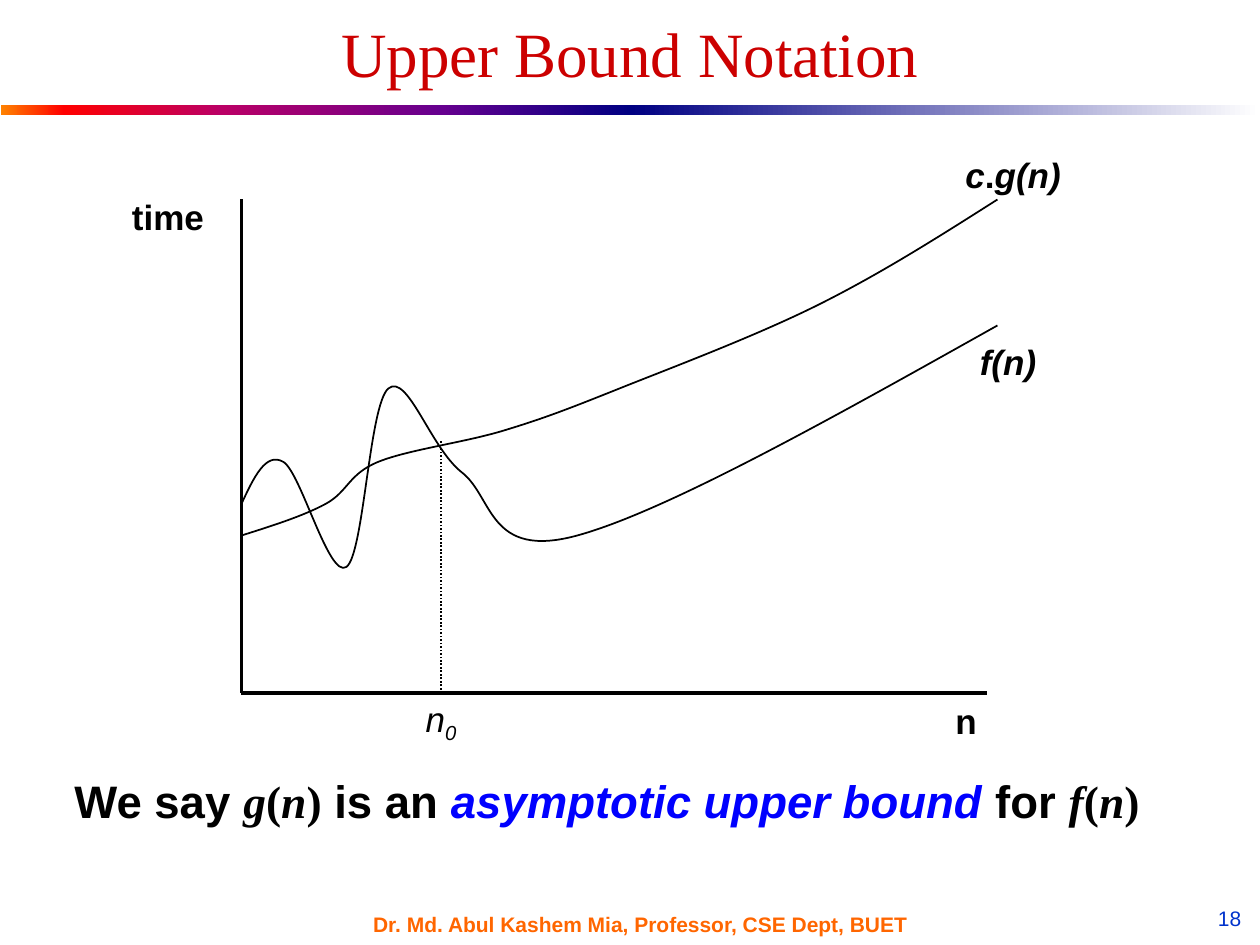
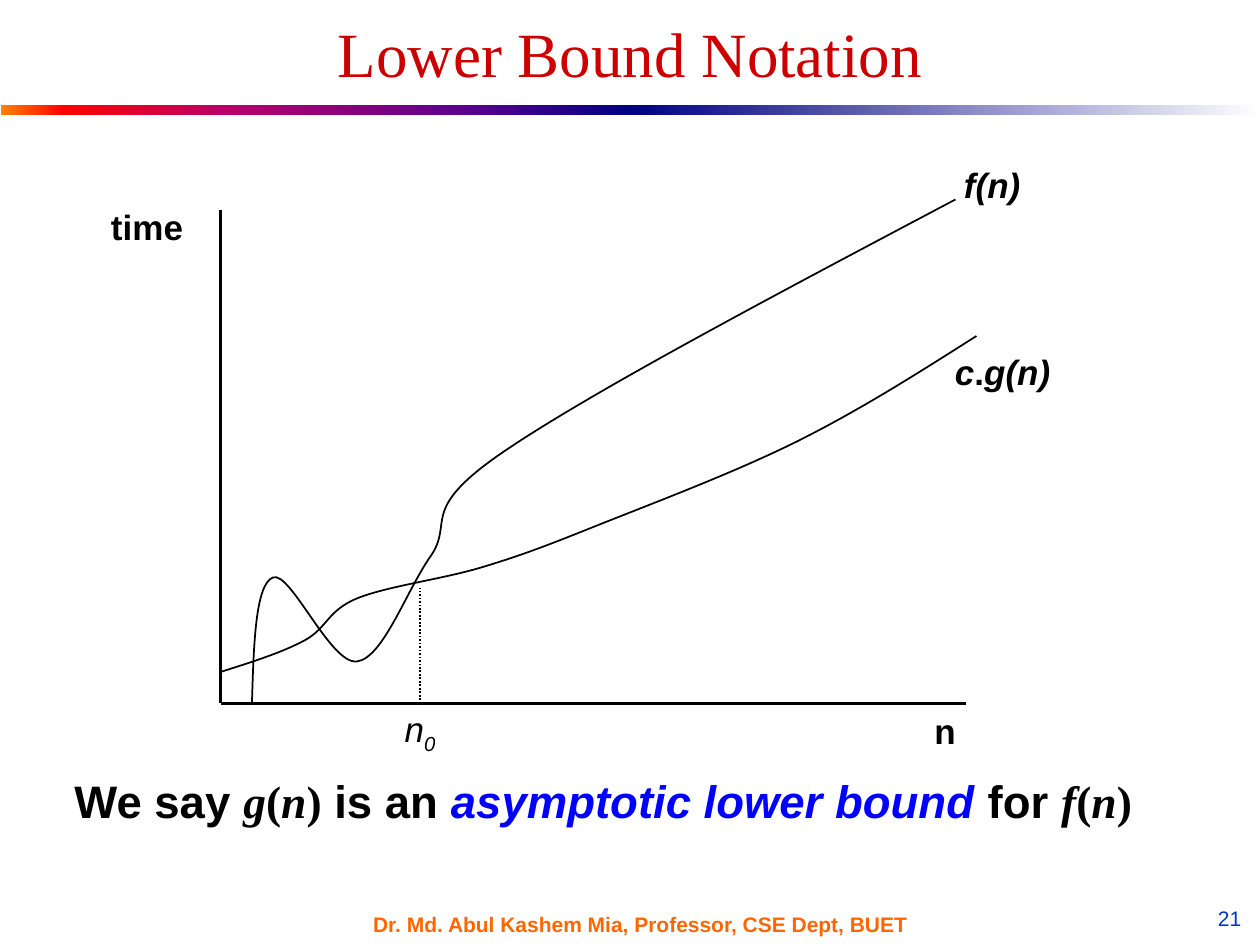
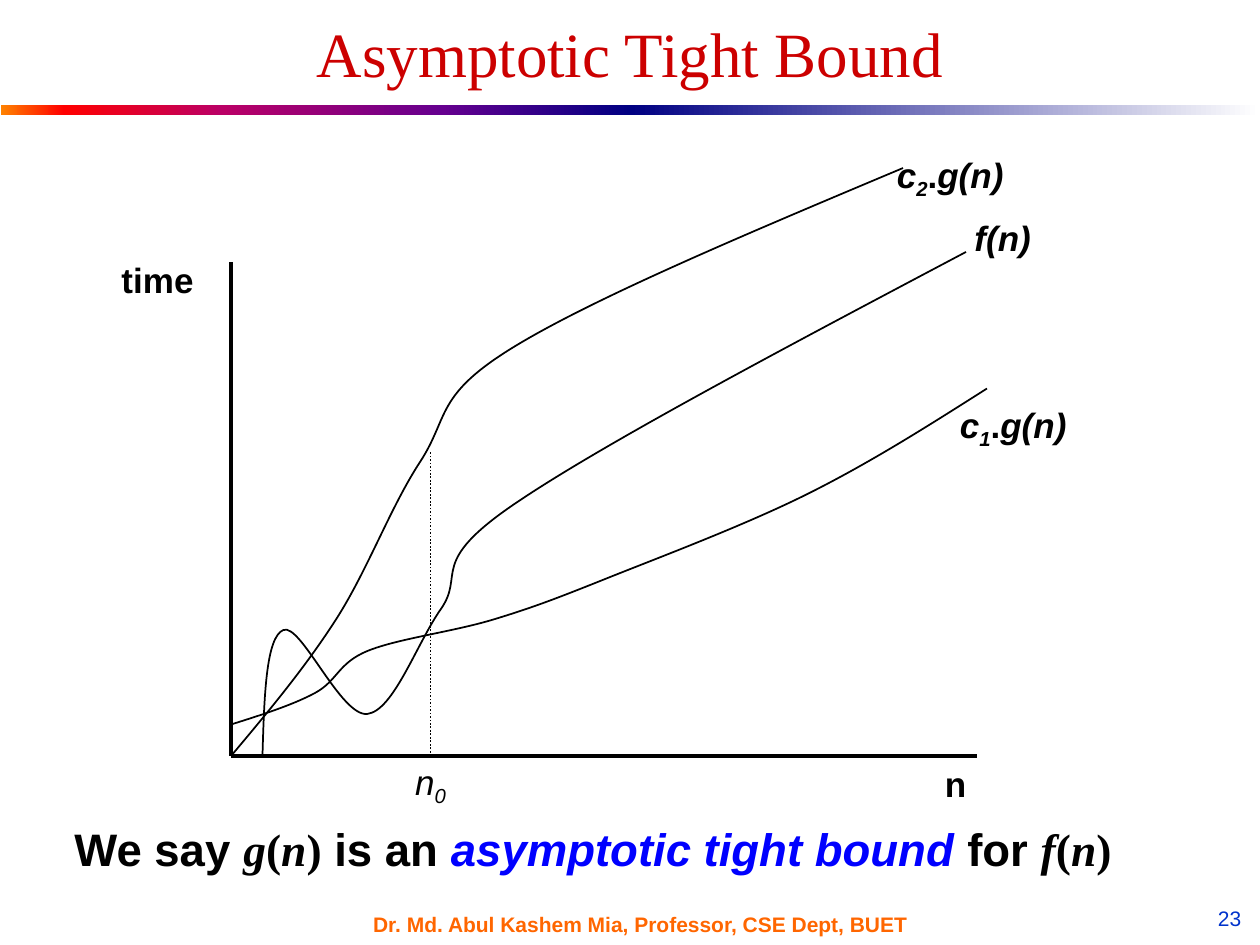
from lxml import etree
from pptx import Presentation
from pptx.dml.color import RGBColor
from pptx.enum import dml, shapes, text
from pptx.oxml.ns import qn
from pptx.util import Inches, Pt

# Grid: 120 columns by 90 rows, 12 to the inch
CELL = Inches(1) // 12
COLUMNS, ROWS = 120, 90
AXIS_WIDTH, AXIS_HEIGHT = 71, 47
BLACK, RED, BLUE, ORANGE, NAVY = "000000", "CC0000", "0000FF", "FF6600", "0033CC"
SANS, SERIF = "Arial", "Times New Roman"
FOOTER = "Dr. Md. Abul Kashem Mia, Professor, CSE Dept, BUET"
WARM_STOPS = [(0, "FF8200"), (10, "FF0000"), (35, "BA0066"), (70, "66008F"), (100, "000082")]
COOL_STOPS = [(0, "000082"), (100, "FFFFFF")]

# Curves as (column, row) steps right of and above the plot's origin
G_CURVE = [(0, 3), (8, 6), (13, 10), (25, 13), (36, 17), (55, 25), (72, 35)]
G_RAISED = [(column, row + 12) for column, row in G_CURVE]
G_STEEP = [(0, 0), (10, 13), (18, 28), (27, 39), (64, 56)]
F_BELOW = [(0, 18), (4, 22), (10, 12), (14, 29), (21, 21), (32, 15), (72, 35)]
F_ABOVE = [(3, 0), (5, 12), (13, 4), (20, 14), (27, 24), (70, 48)]

# Spans are (text, marks): i italic, r roman, s subscript, t serif, h highlighted
F_LABEL = [("f(n)", "i")]
G_LABEL = [("c", "i"), (".", "r"), ("g(n)", "i")]


def numbered(digit):
    return [G_LABEL[0], (digit, "is"), *G_LABEL[1:]]


def color(value):
    return RGBColor.from_string(value)


def cells(*values):
    return [round(value * CELL) for value in values]


def add_text(page, area, spans, size, ink=BLACK, name=SANS, bold=False,
             align=text.PP_ALIGN.CENTER, anchor=text.MSO_ANCHOR.TOP):
    box = page.shapes.add_textbox(*cells(*area))
    frame = box.text_frame
    frame.word_wrap = True
    frame.vertical_anchor = anchor
    para = frame.paragraphs[0]
    para.alignment = align
    para.font.size, para.font.name, para.font.bold = Pt(size), name, bold
    para.font.color.rgb = color(ink)
    for words, marks in spans:
        span = para.add_run()
        span.text = words
        if "i" in marks or "r" in marks:
            span.font.italic = "i" in marks
        if "t" in marks:
            span.font.name = SERIF
        if "h" in marks:
            span.font.color.rgb = color(BLUE)
        if "s" in marks:
            span.font._element.set("baseline", "-25000")


def add_line(page, start, end, width, dash=None):
    line = page.shapes.add_connector(shapes.MSO_CONNECTOR.STRAIGHT, *cells(*start, *end))
    line.line.color.rgb = color(BLACK)
    line.line.width = Pt(width)
    if dash:
        line.line.dash_style = dash
    etree.SubElement(line._element.spPr, qn("a:effectLst"))


def bezier_handles(points):
    """Return the two handles of each segment of a smooth curve through points."""
    slopes = [((after[0] - before[0]) / 6, (after[1] - before[1]) / 6)
              for before, after in zip(points, points[2:])]
    leaving = [(x + dx, y + dy) for (x, y), (dx, dy) in zip(points[1:], slopes)]
    arriving = [(x - dx, y - dy) for (x, y), (dx, dy) in zip(points[1:], slopes)]

    def middle(one, other):
        return (one[0] + other[0]) / 2, (one[1] + other[1]) / 2

    first = middle(points[0], arriving[0])
    last = middle(points[-1], leaving[-1])
    return list(zip([first, *leaving], [*arriving, last]))


def add_curve(page, points):
    points = [cells(*point) for point in points]
    builder = page.shapes.build_freeform(*points[0])
    builder.add_line_segments(points[1:], close=False)
    curve = builder.convert_to_shape()
    curve.shadow.inherit = False
    curve.fill.background()
    curve.line.color.rgb = color(BLACK)
    curve.line.width = Pt(1)
    # Turn each straight segment into a Bezier segment
    segments = list(curve._element.iter(qn("a:lnTo")))
    for segment, handles in zip(segments, bezier_handles(points)):
        segment.tag = qn("a:cubicBezTo")
        for index, (x, y) in enumerate(handles):
            handle = etree.Element(qn("a:pt"), x=str(round(x - curve.left)),
                                   y=str(round(y - curve.top)))
            segment.insert(index, handle)


def add_band(page, area, stops):
    band = page.shapes.add_shape(shapes.MSO_SHAPE.RECTANGLE, *cells(*area))
    band.shadow.inherit = False
    band.line.fill.background()
    band.fill.gradient()
    band.fill.gradient_angle = 0
    stop_list = next(band._element.iter(qn("a:gsLst")))
    for stop in list(stop_list):
        stop_list.remove(stop)
    for share, value in stops:
        stop = etree.SubElement(stop_list, qn("a:gs"), pos=str(share * 1000))
        etree.SubElement(stop, qn("a:srgbClr"), val=value)


def add_frame(page, title, number):
    """Title, two-part rule, footer and page number."""
    middle = text.MSO_ANCHOR.MIDDLE
    half = COLUMNS / 2
    add_band(page, (0.1, 10, half, 1), WARM_STOPS)
    add_band(page, (half, 10, half, 1), COOL_STOPS)
    add_text(page, (6, 2, COLUMNS - 12, 6), [(title, "")], 36, RED, SERIF, anchor=middle)
    add_text(page, (31, ROWS - 4, half, 4), [(FOOTER, "")], 12, ORANGE, bold=True, anchor=middle)
    add_text(page, (91.4, 85.6, 28, 3.2), [(str(number), "")], 12, NAVY,
             align=text.PP_ALIGN.RIGHT)


def add_plot(page, origin, threshold_height, curves, labels):
    """Axes, threshold and labelled curves, measured from the origin."""
    left, bottom = origin

    def at(column, row):
        return left + column, bottom - row

    def label(column, row, width, spans, bold=True):
        add_text(page, (*at(column, row), width, 5.2), spans, 20, bold=bold)

    # Axes
    add_line(page, at(0, AXIS_HEIGHT), origin, 2)
    add_line(page, origin, at(AXIS_WIDTH, 0), 2)
    label(-12, AXIS_HEIGHT + 1, 10, [("time", "")])
    label(64, 0, 10, [("n", "")])
    # Threshold
    add_line(page, at(19, 0), at(19, threshold_height), 1, dml.MSO_LINE.ROUND_DOT)
    label(14, 0.2, 10, [("n", "i"), ("0", "is")], bold=False)
    # Curves
    for points in curves:
        add_curve(page, [at(*point) for point in points])
    for place in labels:
        label(*place)


def add_caption(page, top, bound):
    spans = [("We say ", ""), ("g", "it"), ("(", "t"), ("n", "it"), (")", "t"), (" is an ", ""),
             (f"asymptotic {bound} bound", "ih"), (" for ", ""),
             ("f", "it"), ("(", "t"), ("n", "it"), (")", "t")]
    add_text(page, (5.9, top, 106, 6.4), spans, 26, bold=True, align=text.PP_ALIGN.LEFT)


SLIDES = [
    dict(title="Upper Bound Notation", number=18, bound="upper", caption_top=73,
         origin=(23, 66), threshold_height=24, curves=[F_BELOW, G_RAISED],
         labels=[(68, 34.2, 10, F_LABEL), (67, 52, 13, G_LABEL)]),
    dict(title="Lower Bound Notation", number=21, bound="lower", caption_top=73,
         origin=(21, 67), threshold_height=11, curves=[G_CURVE, F_ABOVE],
         labels=[(68, 34.2, 13, G_LABEL), (67, 52, 13, F_LABEL)]),
    dict(title="Asymptotic Tight Bound", number=23, bound="tight", caption_top=77.6,
         origin=(22, 72), threshold_height=29, curves=[G_CURVE, F_ABOVE, G_STEEP],
         labels=[(68, 34.2, 13, numbered("1")), (67, 52, 13, F_LABEL),
                 (62, 58, 13, numbered("2"))]),
]


def main():
    deck = Presentation()
    deck.slide_width, deck.slide_height = cells(COLUMNS, ROWS)
    for content in SLIDES:
        page = deck.slides.add_slide(deck.slide_layouts[6])
        add_frame(page, content["title"], content["number"])
        add_plot(page, content["origin"], content["threshold_height"],
                 content["curves"], content["labels"])
        add_caption(page, content["caption_top"], content["bound"])
    deck.save("out.pptx")


if __name__ == "__main__":
    main()
